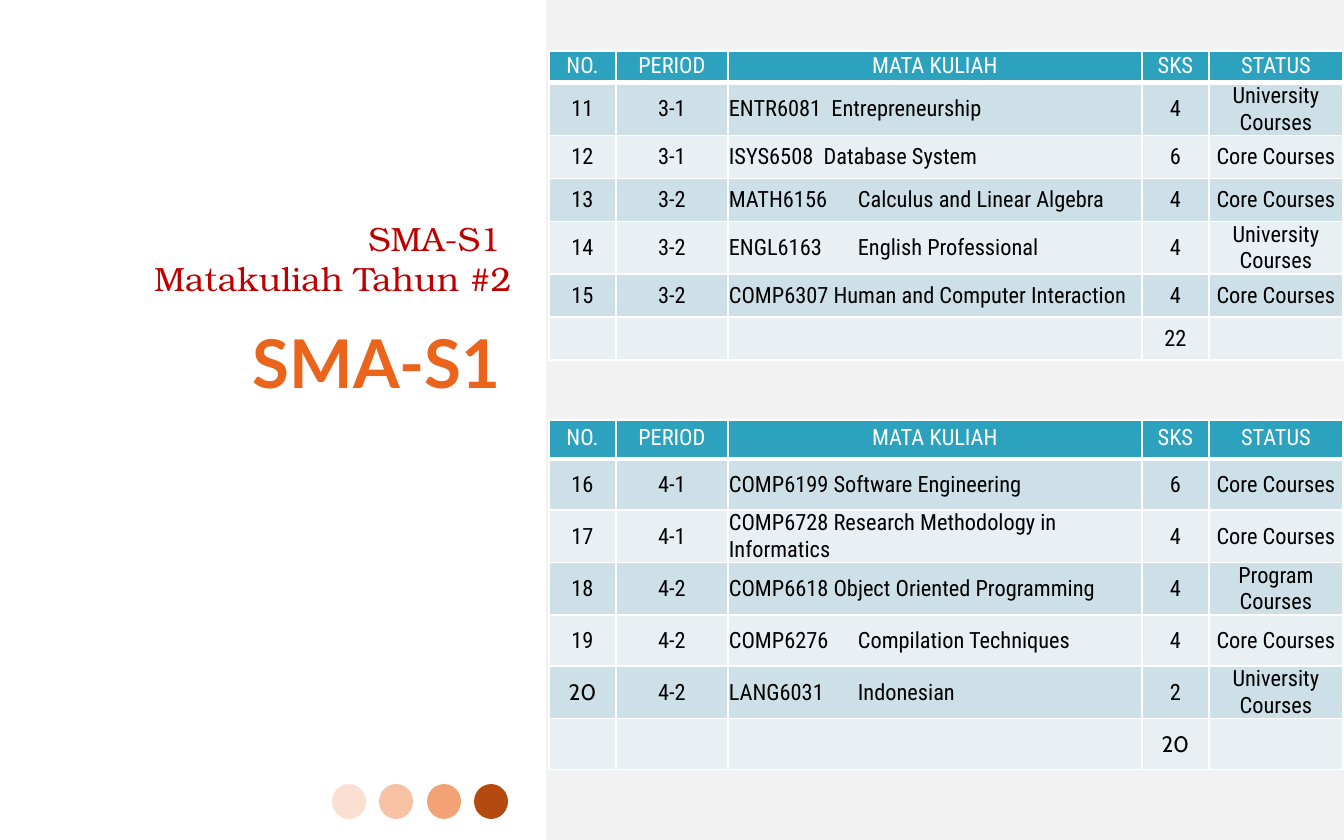
from copy import deepcopy

from lxml import etree
from pptx import Presentation
from pptx import util as u
from pptx.dml.color import RGBColor
from pptx.enum import shapes, text
from pptx.oxml.ns import qn

WIDTH, HEIGHT = 1344, 840
SCALE = u.Inches(10) / WIDTH
TITLE_ONLY = 5

COLORS = {
    "panel": "F2F2F2", "title": "C00000", "heading": "EB641B",
    "header": "2DA2BF", "odd": "CDE0E8", "even": "E8F0F4",
    "white": "FFFFFF", "black": "000000",
}
DOTS = ["FBE0D1", "F7C1A4", "F3A276", "B54A10"]

HEADERS = ["NO.", "PERIOD", "MATA KULIAH", "SKS", "STATUS"]
COLUMNS = [67, 112, 414, 67, 134]
COURSE_COLUMN = 2
COURSE_TAB = 129

CORE, UNIVERSITY, PROGRAM = "Core Courses", "University Courses", "Program Courses"
THIRD_SEMESTER = [
    ("3-1", "ENTR6081  Entrepreneurship", 4, UNIVERSITY),
    ("3-1", "ISYS6508  Database System", 6, CORE),
    ("3-2", "MATH6156\tCalculus and Linear Algebra", 4, CORE),
    ("3-2", "ENGL6163\tEnglish Professional", 4, UNIVERSITY),
    ("3-2", "COMP6307 Human and Computer Interaction", 4, CORE),
]
FOURTH_SEMESTER = [
    ("4-1", "COMP6199 Software Engineering", 6, CORE),
    ("4-1", "COMP6728 Research Methodology in Informatics", 4, CORE),
    ("4-2", "COMP6618 Object Oriented Programming", 4, PROGRAM),
    ("4-2", "COMP6276\tCompilation Techniques", 4, CORE),
    ("4-2", "LANG6031\tIndonesian", 2, UNIVERSITY),
]


def px(value):
    return u.Emu(round(value * SCALE))


def rgb(color):
    return RGBColor.from_string(COLORS.get(color, color))


class SlideBuilder:
    """Holds the table style and the slide being built."""

    table_font = "Roboto Condensed"
    numeral_font = "Cabin"
    table_size = 12

    def __init__(self, slide):
        self.slide = slide

    def shape(self, kind, left, top, width, height, color):
        shape = self.slide.shapes.add_shape(
            kind, px(left), px(top), px(width), px(height))
        shape.shadow.inherit = False
        shape.fill.solid()
        shape.fill.fore_color.rgb = rgb(color)
        shape.line.fill.background()

    def format_runs(self, paragraph, font, size, color, bold=False):
        for run in paragraph.runs:
            run.font.name = font
            run.font.size = u.Pt(size)
            run.font.bold = bold
            run.font.color.rgb = rgb(color)

    def fill_frame(self, shape, content, anchor, font, size, color, bold=False):
        frame = shape.text_frame
        frame.text = content
        frame.word_wrap = True
        frame.auto_size = text.MSO_AUTO_SIZE.NONE
        frame.vertical_anchor = anchor
        paragraph = frame.paragraphs[0]
        paragraph.alignment = text.PP_ALIGN.RIGHT
        self.format_runs(paragraph, font, size, color, bold)
        # A line break takes the size of the text around it
        for line_break in paragraph._p.findall(qn("a:br")):
            line_break.insert(0, deepcopy(paragraph.runs[0]._r.rPr))

    def title(self, content, left, top, width, height, **style):
        shape = self.slide.shapes.title
        shape.left, shape.top = px(left), px(top)
        shape.width, shape.height = px(width), px(height)
        self.fill_frame(shape, content, text.MSO_ANCHOR.BOTTOM, **style)

    def text_box(self, content, left, top, width, height, **style):
        shape = self.slide.shapes.add_textbox(
            px(left), px(top), px(width), px(height))
        self.fill_frame(shape, content, text.MSO_ANCHOR.TOP, **style)

    def borders(self, cell, bottom):
        properties = cell._tc.get_or_add_tcPr()
        for side, points in (("L", 1), ("R", 1), ("T", 1), ("B", bottom)):
            line = etree.SubElement(
                properties, qn("a:ln" + side), w=str(u.Pt(points)))
            fill = etree.SubElement(line, qn("a:solidFill"))
            etree.SubElement(fill, qn("a:srgbClr"), val=COLORS["white"])

    def cell(self, cell, content, row, column):
        is_header = row == 0
        self.borders(cell, 3 if is_header else 1)
        cell.fill.solid()
        cell.fill.fore_color.rgb = rgb(
            "header" if is_header else "odd" if row % 2 else "even")
        cell.margin_left = cell.margin_right = px(1)
        cell.margin_top = cell.margin_bottom = 0
        cell.vertical_anchor = text.MSO_ANCHOR.MIDDLE
        cell.text_frame.text = content
        paragraph = cell.text_frame.paragraphs[0]
        is_course = column == COURSE_COLUMN and not is_header
        paragraph.alignment = (
            text.PP_ALIGN.LEFT if is_course else text.PP_ALIGN.CENTER)
        if is_header:
            paragraph.line_spacing = 0.8
            paragraph.space_before = u.Pt(3)
        if "\t" in content:
            tabs = etree.SubElement(
                paragraph._p.get_or_add_pPr(), qn("a:tabLst"))
            etree.SubElement(
                tabs, qn("a:tab"), pos=str(px(COURSE_TAB)), algn="l")
        font = self.numeral_font if content == "20" else self.table_font
        self.format_runs(paragraph, font, self.table_size,
                         "white" if is_header else "black")

    def course_table(self, courses, first_number, top, header_height, row_height):
        total = sum(credits for _, _, credits, _ in courses)
        rows = [HEADERS]
        rows += [(number, *course)
                 for number, course in enumerate(courses, first_number)]
        rows.append(("", "", "", total, ""))
        heights = [header_height] + [row_height] * (len(rows) - 1)
        table = self.slide.shapes.add_table(
            len(rows), len(COLUMNS), px(549), px(top),
            px(sum(COLUMNS)), px(sum(heights))).table
        for column, width in zip(table.columns, COLUMNS):
            column.width = px(width)
        for row, (values, height) in enumerate(zip(rows, heights)):
            table.rows[row].height = px(height)
            for column, value in enumerate(values):
                self.cell(table.cell(row, column), str(value), row, column)


def main():
    presentation = Presentation()
    presentation.slide_width, presentation.slide_height = px(WIDTH), px(HEIGHT)
    layout = presentation.slide_layouts[TITLE_ONLY]
    builder = SlideBuilder(presentation.slides.add_slide(layout))

    # Right panel and row of dots
    builder.shape(shapes.MSO_SHAPE.RECTANGLE, 546, 0, WIDTH - 546, HEIGHT, "panel")
    for index, color in enumerate(DOTS):
        builder.shape(shapes.MSO_SHAPE.OVAL,
                      332 + round(index * 47.4), 784, 34, 35, color)

    # Title and programme name
    builder.title("SMA-S1 \vMatakuliah Tahun #2", 126, 190, 399, 115,
                  font="TeX Gyre Bonum", size=18, color="title")
    builder.text_box("SMA-S1", 115, 315, 399, 482,
                     font="Lato", size=36, color="heading", bold=True)

    # Course tables, one for each semester
    builder.course_table(THIRD_SEMESTER, 11, 51, 32, 43)
    builder.course_table(FOURTH_SEMESTER, 16, 420, 39, 51)

    presentation.save("out.pptx")


if __name__ == "__main__":
    main()
